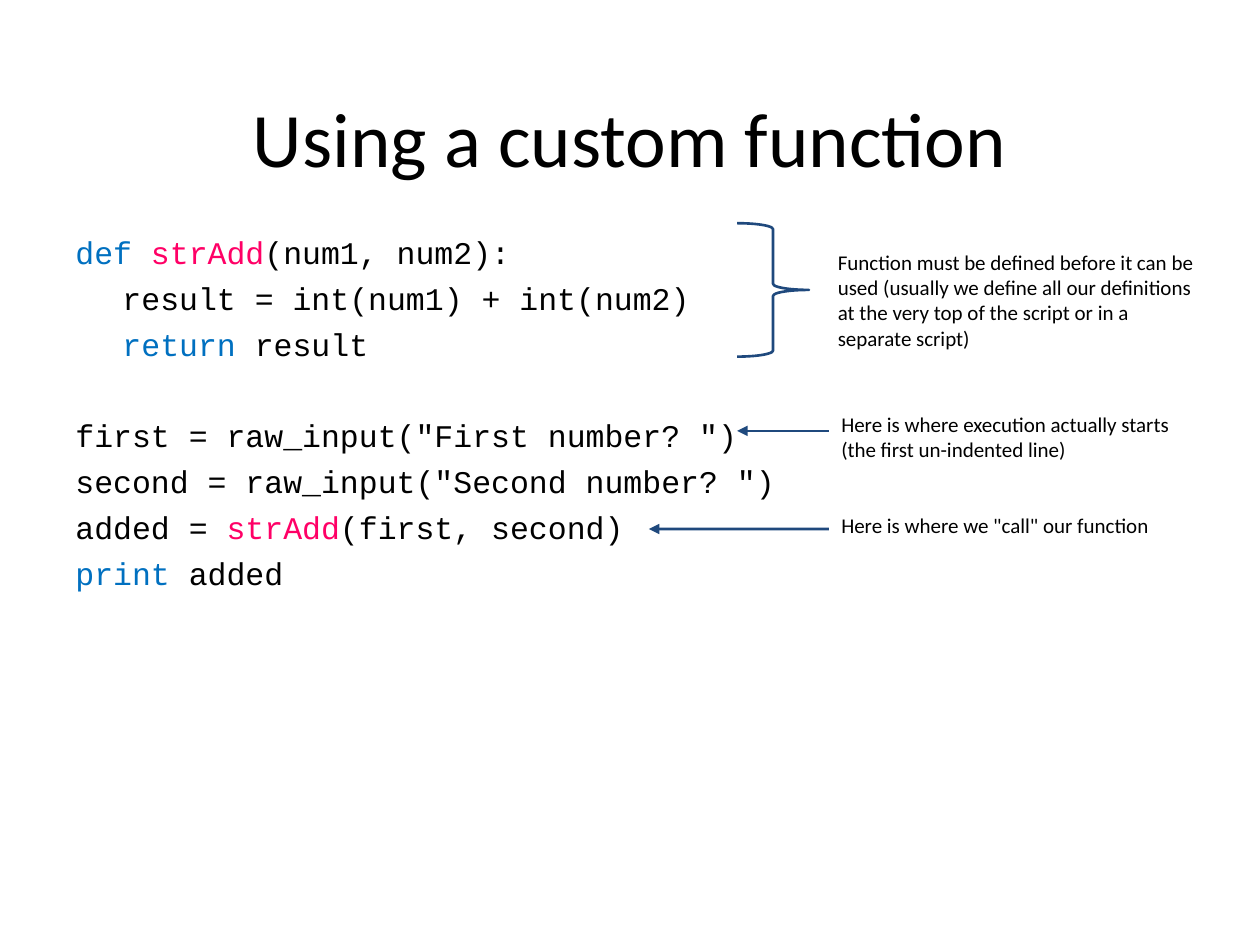
"""Build a slide that explains how a custom function is defined and called."""
from lxml import etree
from pptx import Presentation
from pptx import util as u
from pptx.dml import color
from pptx.enum import shapes, text
from pptx.oxml import ns

COLORS = {"ink": "000000", "keyword": "0070C0", "function": "FF0066", "marker": "1F497D"}
TITLE_FONT = {"name": "Calibri", "size": u.Pt(44)}
CODE_FONT = {"name": "Courier New", "size": u.Pt(18)}
NOTE_FONT = {"name": "Calibri", "size": u.Pt(12)}
FRAME = {"word_wrap": True, "auto_size": text.MSO_AUTO_SIZE.NONE,
         **{f"margin_{side}": u.Cm(0.25) for side in ("left", "top", "right", "bottom")}}
LINE_GAP, BLOCK_GAP = 4.8, 30
INDENT = 0.95
NOTE_WIDTH = 7.67

CODE = [
    (0, LINE_GAP, [("def ", "keyword"), ("strAdd", "function"), ("(num1, num2):", "ink")]),
    (INDENT, LINE_GAP, [("result = int(num1) + int(num2)", "ink")]),
    (INDENT, LINE_GAP, [("return", "keyword"), (" result", "ink")]),
    (0, BLOCK_GAP, [('first = raw_input("First number? ")', "ink")]),
    (0, LINE_GAP, [('second = raw_input("Second number? ")', "ink")]),
    (0, LINE_GAP, [("added = ", "ink"), ("strAdd", "function"), ("(first, second)", "ink")]),
    (0, LINE_GAP, [("print", "keyword"), (" added", "ink")]),
]
DEFINITION = ("Function must be defined before it can be used (usually we define all our "
              "definitions at the very top of the script or in a separate script)")
ARROW_NOTES = [
    ("Here is where execution actually starts (the first un-indented line)",
     (14.86, 8.05, 9.52, 1.27)),
    ('Here is where we "call" our function', (13.08, 10.08, 11.3, 1.17)),
]


def apply(target, values):
    """Set each named attribute of the target."""
    for name, value in values.items():
        setattr(target, name, value)


def cm_box(box):
    """Turn a box in centimetres into lengths."""
    return [u.Cm(side) for side in box]


def add_run(paragraph, words, font, ink="ink"):
    """Append formatted words to a paragraph."""
    run = paragraph.add_run()
    run.text = words
    apply(run.font, font)
    run.font.color.rgb = color.RGBColor.from_string(COLORS[ink])


def style_marker(line):
    """Give a line the marker colour and weight."""
    line.color.rgb = color.RGBColor.from_string(COLORS["marker"])
    line.width = u.Pt(1.5)


def add_title(slide, box, words):
    """Place and format the title placeholder."""
    title = slide.shapes.title
    apply(title, dict(zip(("left", "top", "width", "height"), cm_box(box))))
    apply(title.text_frame, {**FRAME, "vertical_anchor": text.MSO_ANCHOR.BOTTOM})
    heading = title.text_frame.paragraphs[0]
    heading.alignment = text.PP_ALIGN.CENTER
    add_run(heading, words, TITLE_FONT)


def add_code(slide, box, lines):
    """Write the coloured program listing."""
    frame = slide.shapes.add_textbox(*cm_box(box)).text_frame
    apply(frame, FRAME)
    for number, (indent, gap, parts) in enumerate(lines):
        line = frame.add_paragraph() if number else frame.paragraphs[0]
        line.space_before = u.Pt(gap)
        if indent:
            line._p.get_or_add_pPr().set("marL", str(u.Cm(indent)))
        for words, ink in parts:
            add_run(line, words, CODE_FONT, ink)


def add_note(slide, box, words):
    """Add a small explanatory text and return its box."""
    note = slide.shapes.add_textbox(*cm_box(box))
    apply(note.text_frame, FRAME)
    add_run(note.text_frame.paragraphs[0], words, NOTE_FONT)
    return note


def add_brace_note(slide, box, words):
    """Put a right brace on the left of the box and its note beside it."""
    left, top, width, height = box
    brace = slide.shapes.add_shape(shapes.MSO_SHAPE.RIGHT_BRACE,
                                   *cm_box((left, top, 1.45, 2.69)))
    brace.shadow.inherit = False
    brace.fill.background()
    style_marker(brace.line)
    add_note(slide, (left + 1.78, top + 0.28, width - 1.78, height - 0.28), words)


def add_arrow_note(slide, box, words):
    """Put a note on the right of the box with an arrow to the left edge."""
    left, top, width, height = box
    note_left = left + width - NOTE_WIDTH
    middle = u.Cm(top + height / 2)
    note = add_note(slide, (note_left, top, NOTE_WIDTH, height), words)
    arrow = slide.shapes.add_connector(shapes.MSO_CONNECTOR.STRAIGHT,
                                       u.Cm(note_left), middle, u.Cm(left), middle)
    arrow.begin_connect(note, 1)
    style_marker(arrow.line)
    etree.SubElement(arrow.line._get_or_add_ln(), ns.qn("a:tailEnd"), type="triangle")
    etree.SubElement(arrow._element.spPr, ns.qn("a:effectLst"))


def main():
    """Assemble and save the slide."""
    deck = Presentation()
    apply(deck, {"slide_width": u.Cm(25.4), "slide_height": u.Cm(19.05)})
    slide = deck.slides.add_slide(deck.slide_layouts.get_by_name("Title Only"))
    add_title(slide, (1.27, 0.76, 22.86, 3.18), "Using a custom function")
    add_code(slide, (1.27, 4.45, 22.86, 12.57), CODE)
    add_brace_note(slide, (14.86, 4.5, 9.7, 3.2), DEFINITION)
    for words, box in ARROW_NOTES:
        add_arrow_note(slide, box, words)
    deck.save("out.pptx")


if __name__ == "__main__":
    main()
